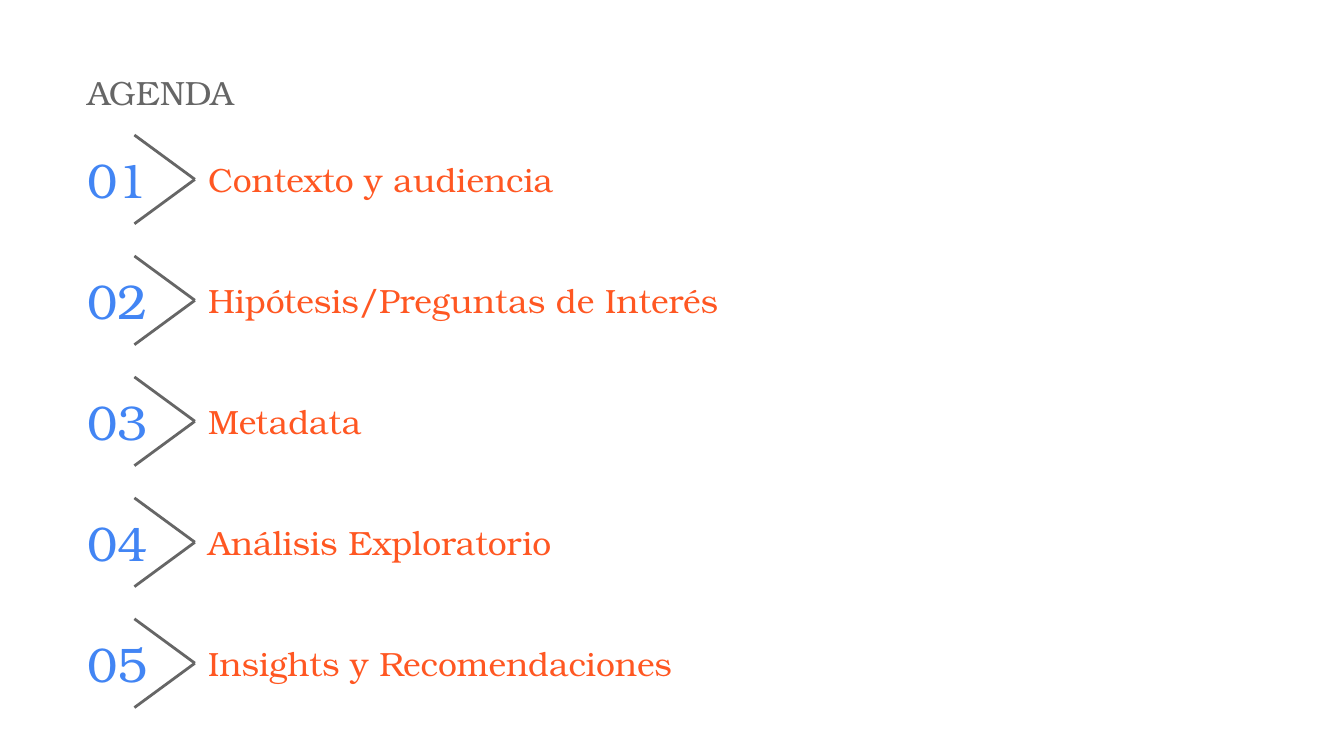
from pptx import Presentation
from pptx.dml.color import RGBColor
from pptx.enum.shapes import MSO_CONNECTOR
from pptx.enum.text import MSO_ANCHOR, MSO_AUTO_SIZE, PP_ALIGN
from pptx.oxml.ns import qn
from pptx.util import Inches, Pt
from lxml import etree

LINE = MSO_CONNECTOR.STRAIGHT
MIDDLE = MSO_ANCHOR.MIDDLE
NO_FIT = MSO_AUTO_SIZE.NONE
LEFT = PP_ALIGN.LEFT

# Content
TITLE = "AGENDA"
ITEMS = [
    "Contexto y audiencia",
    "Hipótesis/Preguntas de Interés",
    "Metadata",
    "Análisis Exploratorio",
    "Insights y Recomendaciones",
]

# Style and grid, in inches
FONT = "TeX Gyre Bonum"
GRAY, BLUE, ORANGE, WHITE = "666666", "4285F4", "FF5722", "FFFFFF"
WIDTH = 10
HEIGHT = WIDTH * 9 / 16
NUM_X, ITEM_X = 0.55, 1.45
NUM_W, ITEM_W, ROW_H = 0.9, 6.56, 0.65
TITLE_Y, TOP, STEP = 0.36, 1.01, 0.9
ARM_X, ARM_H = 1, 0.33


def color(code):
    return RGBColor.from_string(code)


def write(shape, text, size, code):
    frame = shape.text_frame
    frame.text = text
    frame.word_wrap = True
    frame.auto_size = NO_FIT
    frame.vertical_anchor = MIDDLE
    frame.margin_left = frame.margin_right = Inches(0.1)
    frame.margin_top = frame.margin_bottom = Inches(0.1)
    para = frame.paragraphs[0]
    para.alignment = LEFT
    para.font.name = FONT
    para.font.size = Pt(size)
    para.font.color.rgb = color(code)


def add_text(x, y, width, text, size, code):
    box = slide.shapes.add_textbox(
        Inches(x), Inches(y), Inches(width), Inches(ROW_H))
    write(box, text, size, code)
    return box


def add_arm(mid, end):
    arm = slide.shapes.add_connector(
        LINE, Inches(ITEM_X), Inches(mid), Inches(ARM_X), Inches(end))
    arm.line.color.rgb = color(GRAY)
    arm.line.width = Pt(1.5)
    etree.SubElement(arm._element.spPr, qn("a:effectLst"))


deck = Presentation()
deck.slide_width, deck.slide_height = Inches(WIDTH), Inches(HEIGHT)
slide = deck.slides.add_slide(deck.slide_layouts[5])

# Title
title = slide.shapes.title
title.left, title.top = Inches(NUM_X), Inches(TITLE_Y)
title.width, title.height = Inches(ITEM_W), Inches(ROW_H)
write(title, TITLE, 18, GRAY)

# Agenda rows: item, number and chevron
for i, item in enumerate(ITEMS):
    y = TOP + i * STEP
    mid = y + ROW_H / 2
    box = add_text(ITEM_X, y, ITEM_W, item, 18, ORANGE)
    box.line.color.rgb = color(WHITE)
    box.line.width = Pt(0.75)
    add_text(NUM_X, y, NUM_W, f"{i + 1:02}", 26, BLUE)
    for end in (mid - ARM_H, mid + ARM_H):
        add_arm(mid, end)

deck.save("out.pptx")
